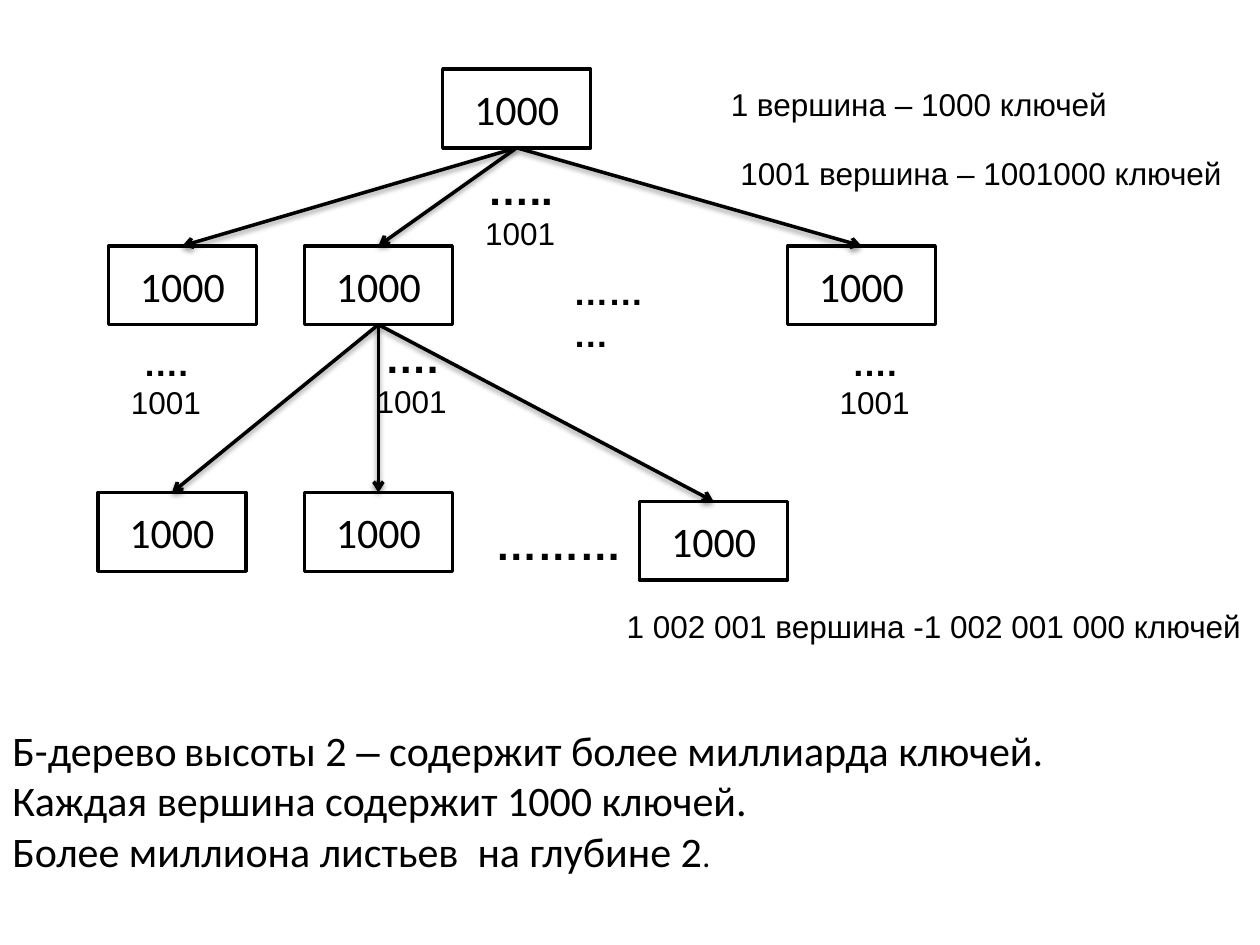
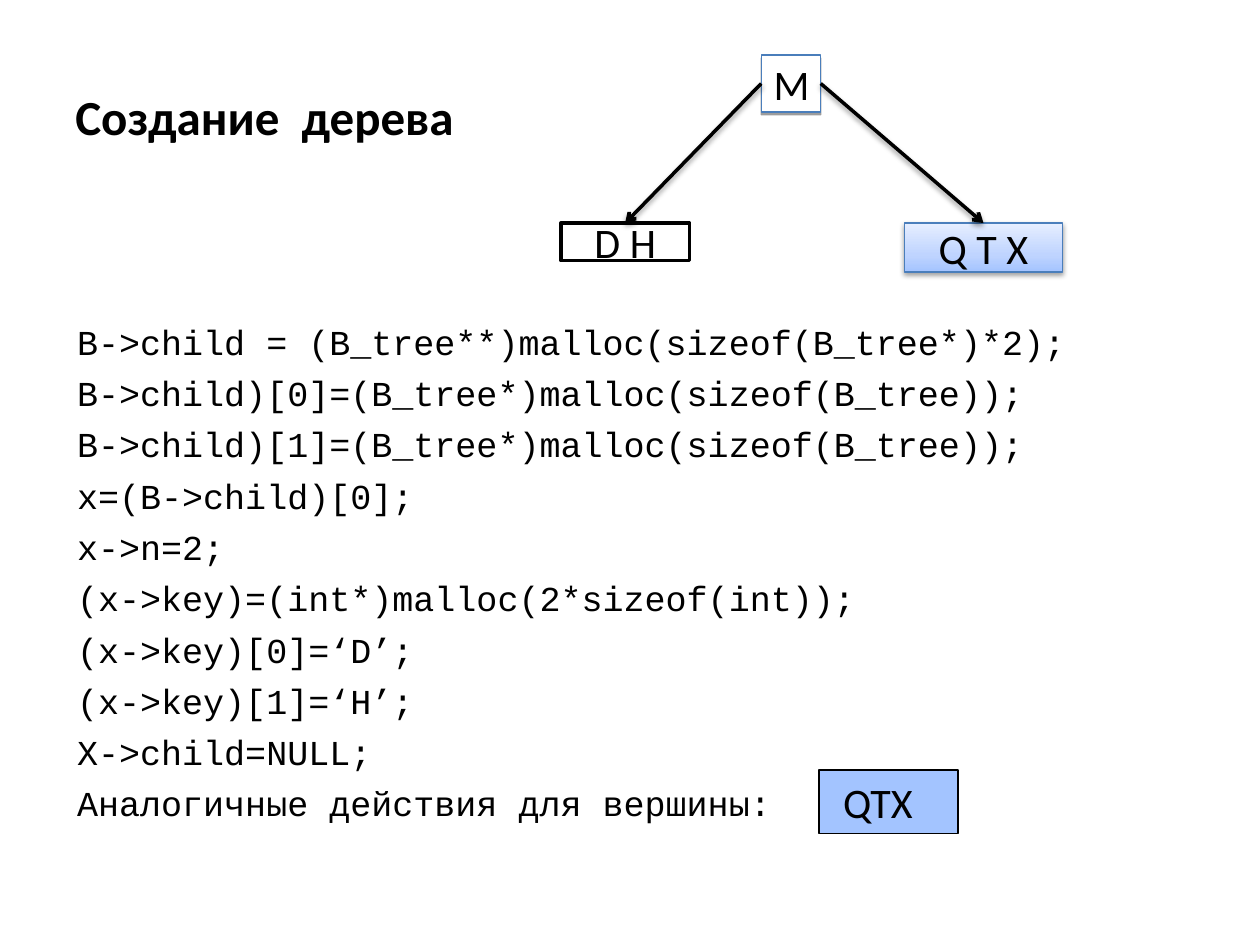
"""Build two slides about B-trees: key counts by level, and creating a tree."""
from dataclasses import dataclass
from typing import NamedTuple

from lxml.etree import SubElement
from pptx import Presentation
from pptx.dml.color import RGBColor
from pptx.enum.shapes import MSO_CONNECTOR as CONN, MSO_SHAPE as SHAPE
from pptx.enum.text import MSO_ANCHOR as ANCHOR, PP_ALIGN as ALIGN
from pptx.oxml.ns import qn
from pptx.util import Pt

TOP, LEFT, BOTTOM, RIGHT = range(4)


class Style(NamedTuple):
    size: float
    font: str
    bold: bool = False


@dataclass(frozen=True)
class Theme:
    ink: str = "000000"
    paper: str = "FFFFFF"
    edge: str = "4A7EBB"
    accent: str = "A3C4FF"
    gradient: tuple = ((0, "A4C4FF"), (35, "BFD4FF"), (100, "E6EEFF"))
    title: Style = Style(28, "Calibri", True)
    key: Style = Style(24, "Calibri")
    code: Style = Style(20, "Courier New")
    label: Style = Style(18, "Arial")
    dots: Style = Style(20, "Arial", True)
    big_dots: Style = Style(24, "Arial", True)
    thick: float = 2
    thin: float = 0.75


T = Theme()
NODE_W, NODE_H = 84.5, 45


def rgb(color):
    return RGBColor.from_string(color)


def set_font(font, style):
    font.size, font.name, font.bold = Pt(style.size), style.font, style.bold
    font.color.rgb = rgb(T.ink)


def write(tf, paragraphs, align=ALIGN.LEFT, before=0):
    """Fill a frame with paragraphs, each a list of (text, style) runs."""
    for i, runs in enumerate(paragraphs):
        p = tf.add_paragraph() if i else tf.paragraphs[0]
        p.alignment, p.space_before = align, Pt(before)
        set_font(p.font, runs[0][1])
        for text, style in runs:
            r = p.add_run()
            r.text = text
            if len(runs) > 1:
                set_font(r.font, style)


def add_text(slide, box, paragraphs, align=ALIGN.LEFT, wrap=False,
             anchor=ANCHOR.TOP, before=0):
    tf = slide.shapes.add_textbox(*map(Pt, box)).text_frame
    tf.word_wrap, tf.vertical_anchor = wrap, anchor
    write(tf, paragraphs, align, before)


def add_shadow(sp, blur=3.1):
    effects = SubElement(sp._element.spPr, qn("a:effectLst"))
    outer = SubElement(effects, qn("a:outerShdw"), blurRad=str(Pt(blur)),
                       dist=str(Pt(1.6)), dir="5400000", rotWithShape="0")
    color = SubElement(outer, qn("a:srgbClr"), val=T.ink)
    SubElement(color, qn("a:alpha"), val="38000")


def fill_gradient(sp, stops):
    sp.fill.gradient()
    sp.fill.gradient_angle = 90
    gs_list = sp._element.spPr.find(qn("a:gradFill")).find(qn("a:gsLst"))
    gs_list.clear()
    for percent, color in stops:
        gs = SubElement(gs_list, qn("a:gs"), pos=str(percent * 1000))
        SubElement(gs, qn("a:srgbClr"), val=color)


def add_box(slide, box, runs, fill=T.paper, line=T.ink, width=T.thick,
            blur=None, align=ALIGN.CENTER, anchor=ANCHOR.MIDDLE):
    sp = slide.shapes.add_shape(SHAPE.RECTANGLE, *map(Pt, box))
    if isinstance(fill, str):
        sp.fill.solid()
        sp.fill.fore_color.rgb = rgb(fill)
    else:
        fill_gradient(sp, fill)
    sp.line.color.rgb, sp.line.width = rgb(line), Pt(width)
    if blur is None:
        sp.shadow.inherit = False
    else:
        add_shadow(sp, blur)
    sp.text_frame.vertical_anchor = anchor
    write(sp.text_frame, [runs], align)
    return sp


def add_node(slide, x, y):
    return add_box(slide, (x, y, NODE_W, NODE_H), [("1000", T.key)])


def add_arrow(slide, parent, child, site=BOTTOM):
    cx = slide.shapes.add_connector(CONN.STRAIGHT, 0, 0, 0, 0)
    cx.begin_connect(parent, site)
    cx.end_connect(child, TOP)
    cx.line.color.rgb, cx.line.width = rgb(T.ink), Pt(T.thick)
    SubElement(cx.line._get_or_add_ln(), qn("a:tailEnd"), type="arrow")
    add_shadow(cx)


def add_key_counts(slide):
    root = add_node(slide, 253, 39.5)
    children = [add_node(slide, x, 140.5) for x in (62, 174, 450)]
    leaves = [add_node(slide, x, y)
              for x, y in ((56, 281.5), (174, 281.5), (365.5, 286.5))]
    for parent, level in ((root, children), (children[1], leaves)):
        for child in level:
            add_arrow(slide, parent, child)

    for x, y, dots, style in ((208, 186, "….", T.big_dots),
                              (67.5, 191.5, "….", T.dots),
                              (270, 90, "…..", T.big_dots),
                              (472.5, 191.5, "….", T.dots)):
        add_text(slide, (x, y, 54.5, 55),
                 [[(dots, style)], [("1001", T.label)]], ALIGN.CENTER)
    for box, style in (((320.5, 151, 74, 31), T.dots),
                       ((276, 292.5, 86.5, 36), T.big_dots)):
        add_text(slide, box, [[("………", style)]])
    for x, y, w, total in (
            (410.5, 45, 232, "1 вершина – 1000 ключей"),
            (416, 84.5, 292, "1001 вершина – 1001000 ключей"),
            (351, 343.5, 369, "1 002 001 вершина -1 002 001 000 ключей")):
        add_text(slide, (x, y, w, 29), [[(total, T.label)]])

    add_text(slide, (0, 410.5, 720, 93.5), [
        [("Б-дерево", T.key), (" ", T.key._replace(size=18)),
         ("высоты 2 ", T.key), ("–", T.label._replace(size=24)),
         (" содержит более миллиарда ключей.", T.key)],
        [("Каждая вершина содержит 1000 ключей.", T.key)],
        [("Более миллиона листьев  на глубине 2", T.key),
         (".", T.key._replace(size=18))],
    ], wrap=True)


def add_tree_creation(slide):
    add_text(slide, (36, 21.5, 648, 90), [[("Создание  дерева", T.title)]],
             wrap=True, anchor=ANCHOR.MIDDLE)
    code = (
        "B->child = (B_tree**)malloc(sizeof(B_tree*)*2);",
        "B->child)[0]=(B_tree*)malloc(sizeof(B_tree));",
        "B->child)[1]=(B_tree*)malloc(sizeof(B_tree));",
        "x=(B->child)[0];",
        "x->n=2;",
        "(x->key)=(int*)malloc(2*sizeof(int));",
        "(x->key)[0]=‘D’;",
        "(x->key)[1]=‘H’;",
        "X->child=NULL;",
        "Аналогичные действия для вершины:",
    )
    add_text(slide, (37, 179.5, 648, 306), [[(s, T.code)] for s in code],
             wrap=True, before=5.3)

    root = add_box(slide, (435, 31.5, 34, 32.5), [("M", T.key)],
                   line=T.edge, width=T.thin, blur=0)
    left = add_box(slide, (320.5, 127.5, 73.5, 21.5), [("D H", T.key)])
    right = add_box(slide, (517, 127.5, 90, 28), [("Q T X", T.key)],
                    T.gradient, T.edge, T.thin, blur=3.1)
    add_arrow(slide, root, left, LEFT)
    add_arrow(slide, root, right, RIGHT)
    add_box(slide, (468, 440, 79.5, 36.5), [(" ", T.big_dots), ("QTX", T.key)],
            T.accent, width=T.thin, align=ALIGN.LEFT, anchor=ANCHOR.TOP)


def main():
    prs = Presentation()
    prs.slide_width, prs.slide_height = Pt(720), Pt(540)
    for build in (add_key_counts, add_tree_creation):
        build(prs.slides.add_slide(prs.slide_layouts[6]))
    prs.save("out.pptx")


if __name__ == "__main__":
    main()
